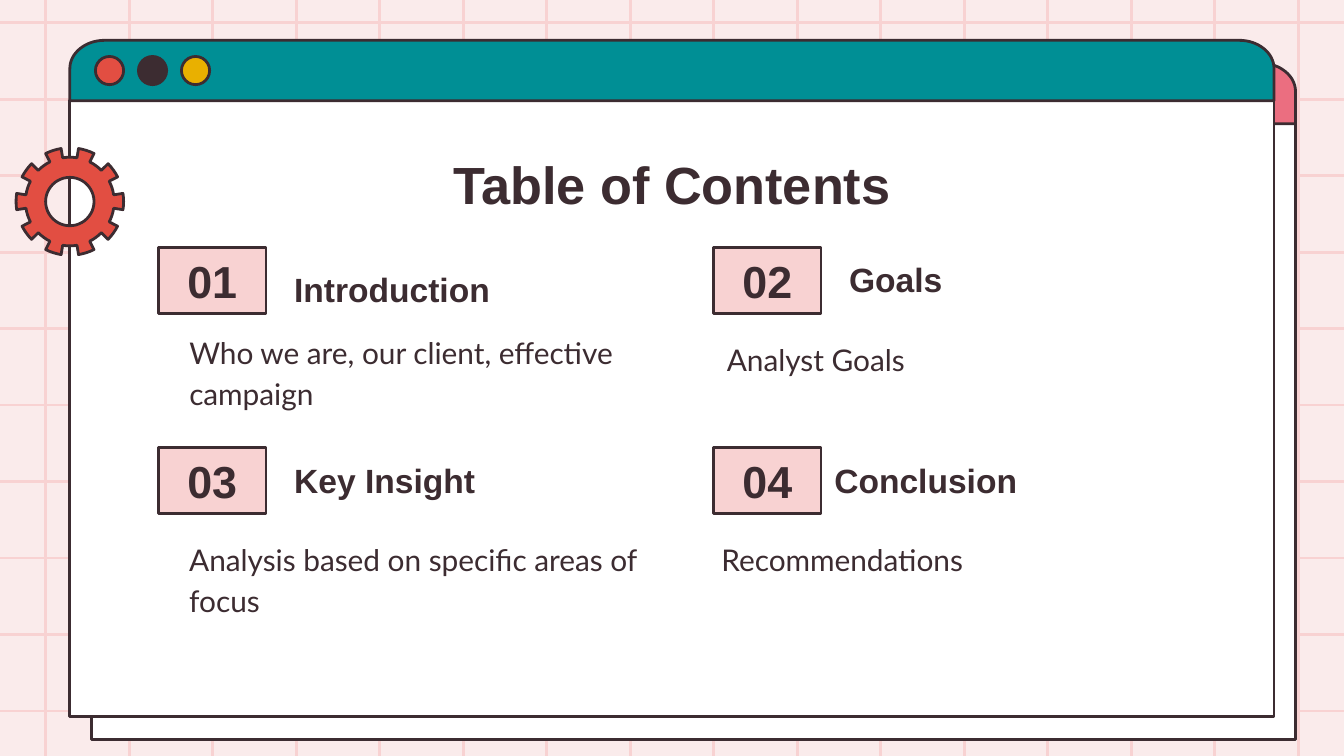
from dataclasses import dataclass
from math import cos, pi, sin

from lxml import etree
from pptx import Presentation
from pptx import util as u
from pptx.dml.color import RGBColor
from pptx.enum import shapes, text
from pptx.oxml.ns import qn


@dataclass(frozen=True)
class Theme:
    ink: str = "3C2C31"
    paper: str = "FFFFFF"
    background: str = "FAEBEB"
    blush: str = "F8D2D2"
    teal: str = "008F95"
    pink: str = "EB6E80"
    red: str = "E24E42"
    yellow: str = "E9B000"
    heading_font: str = "Arial"
    body_font: str = "Lato"
    title_size: int = 28
    number_size: int = 24
    heading_size: int = 18
    body_size: int = 16
    stroke: float = 1.5


@dataclass(frozen=True)
class Box:
    left: float
    top: float
    width: float
    height: float

    def lengths(self) -> list[u.Length]:
        return [u.Inches(v) for v in (self.left, self.top, self.width, self.height)]


@dataclass(frozen=True)
class Window:
    left: float
    top: float
    bar_colour: str
    dots: tuple[str, ...] = ()


@dataclass(frozen=True)
class Entry:
    """One topic; its boxes are offset from the corner of its grid cell."""
    column: int
    row: int
    heading: str
    heading_box: Box
    blurb: str
    blurb_box: Box


THEME = Theme()
WIDTH, HEIGHT = 10, 5.625
WINDOW_WIDTH, BODY_HEIGHT, BAR_HEIGHT = 8.96, 4.58, 0.45
COLUMN_LEFTS, ROW_TOPS = (1.18, 5.31), (1.84, 3.33)
TAG_WIDTH, TAG_HEIGHT = 0.8, 0.49

WINDOWS = (
    Window(0.68, 0.47, THEME.pink),
    Window(0.52, 0.3, THEME.teal, (THEME.red, THEME.ink, THEME.yellow)),
)
ENTRIES = (
    Entry(0, 0, "Introduction", Box(0.91, -0.07, 2.6, 0.63),
          "Who we are, our client, effective campaign", Box(0.13, 0.51, 3.52, 0.98)),
    Entry(1, 0, "Goals", Box(0.91, -0.14, 2.8, 0.63),
          "Analyst Goals", Box(0, 0.56, 3.52, 0.63)),
    Entry(0, 1, "Key Insight", Box(0.91, -0.14, 2.6, 0.63),
          "Analysis based on specific areas of focus", Box(0.13, 0.56, 3.73, 0.98)),
    Entry(1, 1, "Conclusion", Box(0.8, 0, 2.8, 0.49),
          "Recommendations", Box(-0.04, 0.56, 3.6, 0.98)),
)


def paint(shape, fill: str) -> None:
    shape.shadow.inherit = False
    shape.fill.solid()
    shape.fill.fore_color.rgb = RGBColor.from_string(fill)
    shape.line.color.rgb = RGBColor.from_string(THEME.ink)
    shape.line.width = u.Pt(THEME.stroke)


def add_preset(slide, preset, box: Box, fill: str):
    shape = slide.shapes.add_shape(preset, *box.lengths())
    paint(shape, fill)
    return shape


def add_outline(slide, contours: list[list[tuple[float, float]]], fill: str) -> None:
    """Draw one filled shape from closed contours given in inches."""
    points = [[(u.Inches(x), u.Inches(y)) for x, y in contour] for contour in contours]
    builder = slide.shapes.build_freeform(*points[0][0])
    builder.add_line_segments(points[0][1:], close=True)
    for contour in points[1:]:
        builder.move_to(*contour[0])
        builder.add_line_segments(contour[1:], close=True)
    paint(builder.convert_to_shape(), fill)


def arc(x: float, y: float, radius_x: float, radius_y: float,
        start: float, end: float, steps: int) -> list[tuple[float, float]]:
    """Points along an ellipse, with angles in degrees, clockwise from the right."""
    angles = [(start + (end - start) * i / steps) * pi / 180 for i in range(steps + 1)]
    return [(x + radius_x * cos(a), y + radius_y * sin(a)) for a in angles]


def add_grid_line(slide, x1: float, y1: float, x2: float, y2: float) -> None:
    line = slide.shapes.add_connector(
        shapes.MSO_CONNECTOR.STRAIGHT, *[u.Inches(v) for v in (x1, y1, x2, y2)])
    line.line.color.rgb = RGBColor.from_string(THEME.blush)
    line.line.width = u.Pt(THEME.stroke)
    etree.SubElement(line._element.spPr, qn("a:effectLst"))


def add_grid(slide, columns: int = 16, rows: int = 10) -> None:
    for i in range(columns):
        x = 0.34 + (9.66 - 0.34) * i / (columns - 1)
        add_grid_line(slide, x, HEIGHT, x, 0)
    for i in range(rows):
        y = 0.17 + (5.29 - 0.17) * i / (rows - 1)
        add_grid_line(slide, 0, y, WIDTH, y)


def add_window(slide, window: Window) -> None:
    left, top = window.left, window.top
    right, bar_bottom = left + WINDOW_WIDTH, top + BAR_HEIGHT
    corner_x, corner_y, dot = 0.26, 0.21, 0.21
    add_preset(slide, shapes.MSO_SHAPE.RECTANGLE,
               Box(left, bar_bottom, WINDOW_WIDTH, BODY_HEIGHT), THEME.paper)
    bar = [(left, bar_bottom),
           *arc(left + corner_x, top + corner_y, corner_x, corner_y, 180, 270, 16),
           *arc(right - corner_x, top + corner_y, corner_x, corner_y, 270, 360, 16),
           (right, bar_bottom)]
    add_outline(slide, [bar], window.bar_colour)
    for i, colour in enumerate(window.dots):
        add_preset(slide, shapes.MSO_SHAPE.OVAL,
                   Box(left + 0.19 + 0.32 * i, top + 0.12, dot, dot), colour)


def add_gear(slide, x: float, y: float, teeth: int = 10) -> None:
    tip, root, hole, half_tooth = 0.4, 0.33, 0.18, 8.7
    pitch = 360 / teeth
    rim = []
    for i in range(teeth):
        middle = i * pitch
        rim += arc(x, y, tip, tip, middle - half_tooth, middle + half_tooth, 4)
        rim += arc(x, y, root, root, middle + half_tooth, middle + pitch - half_tooth, 4)
    add_outline(slide, [rim, arc(x, y, hole, hole, 360, 0, 48)[:-1]], THEME.red)


def write(shape, words: str, size: int, font: str, bold: bool = False,
          align=text.PP_ALIGN.LEFT, anchor=text.MSO_ANCHOR.TOP,
          spacing: float = 1.0) -> None:
    frame = shape.text_frame
    frame.word_wrap = True
    frame.vertical_anchor = anchor
    frame.margin_left = frame.margin_right = u.Inches(0.1)
    frame.margin_top = frame.margin_bottom = u.Inches(0.1)
    paragraph = frame.paragraphs[0]
    paragraph.text = words
    paragraph.alignment = align
    paragraph.line_spacing = spacing
    paragraph.font.size = u.Pt(size)
    paragraph.font.name = font
    paragraph.font.bold = bold
    paragraph.font.color.rgb = RGBColor.from_string(THEME.ink)


def add_entry(slide, number: int, entry: Entry) -> None:
    left, top = COLUMN_LEFTS[entry.column], ROW_TOPS[entry.row]

    def add_text_box(box: Box):
        placed = Box(left + box.left, top + box.top, box.width, box.height)
        return slide.shapes.add_textbox(*placed.lengths())

    tag = add_preset(slide, shapes.MSO_SHAPE.RECTANGLE,
                     Box(left, top, TAG_WIDTH, TAG_HEIGHT), THEME.blush)
    write(tag, f"{number:02}", THEME.number_size, THEME.heading_font, bold=True,
          align=text.PP_ALIGN.CENTER, anchor=text.MSO_ANCHOR.MIDDLE)
    write(add_text_box(entry.heading_box), entry.heading, THEME.heading_size,
          THEME.heading_font, bold=True, anchor=text.MSO_ANCHOR.BOTTOM)
    write(add_text_box(entry.blurb_box), entry.blurb, THEME.body_size,
          THEME.body_font, spacing=1.15)


def main() -> None:
    presentation = Presentation()
    presentation.slide_width, presentation.slide_height = u.Inches(WIDTH), u.Inches(HEIGHT)
    slide = presentation.slides.add_slide(presentation.slide_layouts[6])
    slide.background.fill.solid()
    slide.background.fill.fore_color.rgb = RGBColor.from_string(THEME.background)

    add_grid(slide)
    for window in WINDOWS:
        add_window(slide, window)
    title = slide.shapes.add_textbox(*Box(0.98, 1.03, 8.04, 0.63).lengths())
    write(title, "Table of Contents", THEME.title_size, THEME.heading_font,
          bold=True, align=text.PP_ALIGN.CENTER)
    for number, entry in enumerate(ENTRIES, start=1):
        add_entry(slide, number, entry)
    add_gear(slide, 0.52, 1.5)
    presentation.save("out.pptx")


if __name__ == "__main__":
    main()
